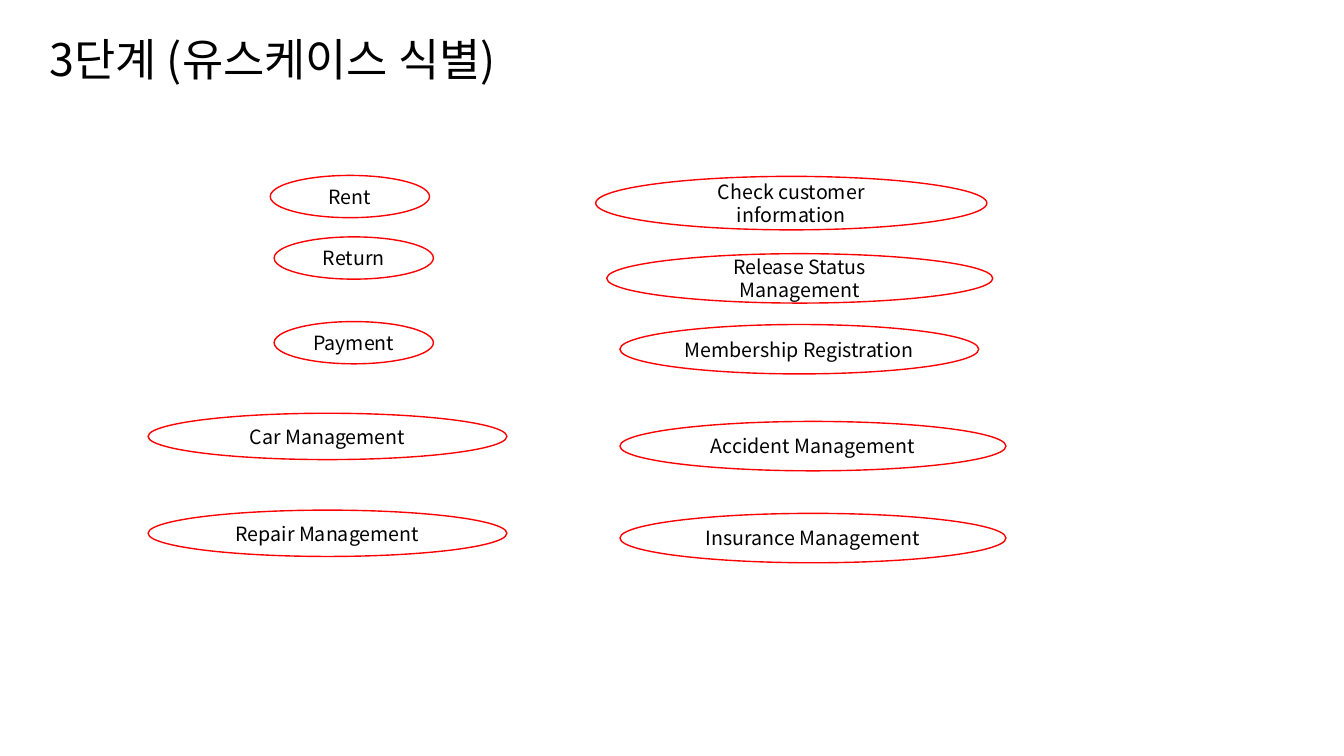
from dataclasses import dataclass

from lxml import etree
from pptx import Presentation
from pptx.dml.color import RGBColor
from pptx.enum.shapes import MSO_SHAPE
from pptx.enum.text import MSO_ANCHOR, PP_ALIGN
from pptx.oxml.ns import qn
from pptx.util import Pt

OVAL = MSO_SHAPE.OVAL
MIDDLE = MSO_ANCHOR.MIDDLE
LEFT, CENTER = PP_ALIGN.LEFT, PP_ALIGN.CENTER
TITLE_ONLY = 5


@dataclass(frozen=True)
class Theme:
    font: str = "Noto Sans CJK KR"
    text: RGBColor = RGBColor(0, 0, 0)
    outline: RGBColor = RGBColor(255, 0, 0)
    title_size: int = 32
    label_size: int = 14
    line_width: int = 1


class SlideBuilder:
    def __init__(self, prs, theme):
        self.theme = theme
        self.s = prs.slides.add_slide(prs.slide_layouts[TITLE_ONLY])

    def add_text(self, sp, text, size, align):
        tf = sp.text_frame
        tf.word_wrap = True
        tf.vertical_anchor = MIDDLE
        p = tf.paragraphs[0]
        p.alignment = align
        r = p.add_run()
        r.text = text
        r.font.size = Pt(size)
        r.font.name = self.theme.font
        r.font.color.rgb = self.theme.text
        # Hangul takes the East Asian typeface
        ea = etree.SubElement(r.font._element, qn("a:ea"))
        ea.set("typeface", self.theme.font)
        return p

    def title(self, text, x, y, w, h):
        sp = self.s.shapes.title
        sp.left, sp.top, sp.width, sp.height = Pt(x), Pt(y), Pt(w), Pt(h)
        p = self.add_text(sp, text, self.theme.title_size, LEFT)
        p.line_spacing = 0.9

    def use_case(self, text, x, y, w, h):
        sp = self.s.shapes.add_shape(OVAL, Pt(x), Pt(y), Pt(w), Pt(h))
        sp.shadow.inherit = False
        sp.fill.background()
        sp.line.color.rgb = self.theme.outline
        sp.line.width = Pt(self.theme.line_width)
        self.add_text(sp, text, self.theme.label_size, CENTER)


# Oval sizes: width, height
SMALL = (113.8, 30.2)
MEDIUM = (256.3, 33.1)
MEDIUM_TALL = (256.3, 35.3)
LARGE = (275.8, 35.3)
LARGEST = (279.4, 38.2)

# Use cases: label, left, top, size
USE_CASES = [
    # Left column
    ("Rent", 193, 125.3, SMALL),
    ("Return", 195.8, 169.2, SMALL),
    ("Payment", 195.8, 229.7, SMALL),
    ("Car Management", 105.8, 295.2, MEDIUM),
    ("Repair Management", 105.8, 364.4, MEDIUM),
    # Right column
    ("Check customer information", 425.5, 126, LARGEST),
    ("Release Status Management", 433.4, 181.2, LARGE),
    ("Membership Registration", 442.8, 231.8, MEDIUM_TALL),
    ("Accident Management", 442.8, 301, LARGE),
    ("Insurance Management", 442.8, 366.7, LARGE),
]


def main():
    prs = Presentation()
    prs.slide_width, prs.slide_height = Pt(960), Pt(540)
    slide = SlideBuilder(prs, Theme())

    # Title
    slide.title("3단계 (유스케이스 식별)", 28.1, 13.7, 828, 60.5)

    # Use case ovals
    for label, x, y, size in USE_CASES:
        slide.use_case(label, x, y, *size)

    prs.save("out.pptx")


if __name__ == "__main__":
    main()
